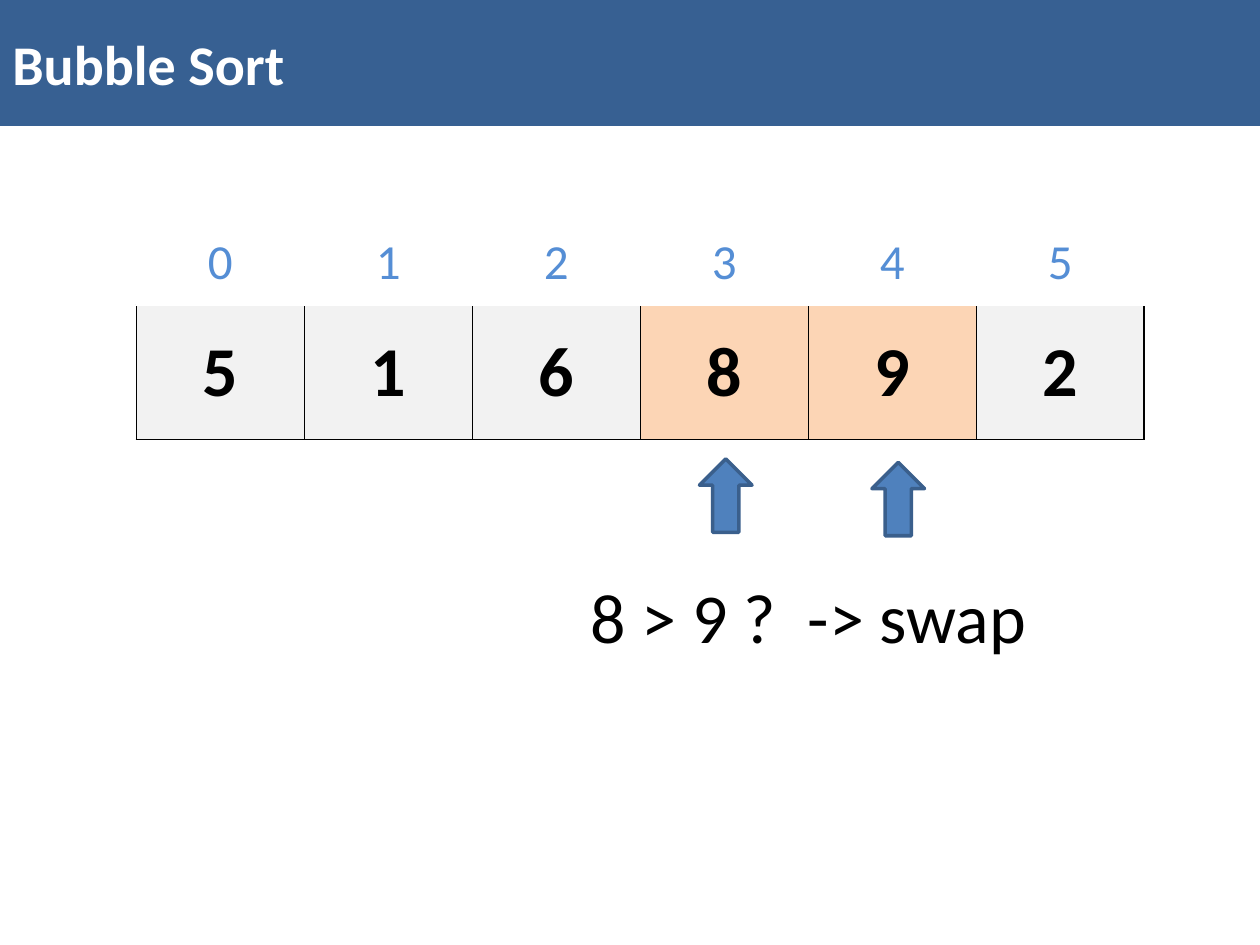
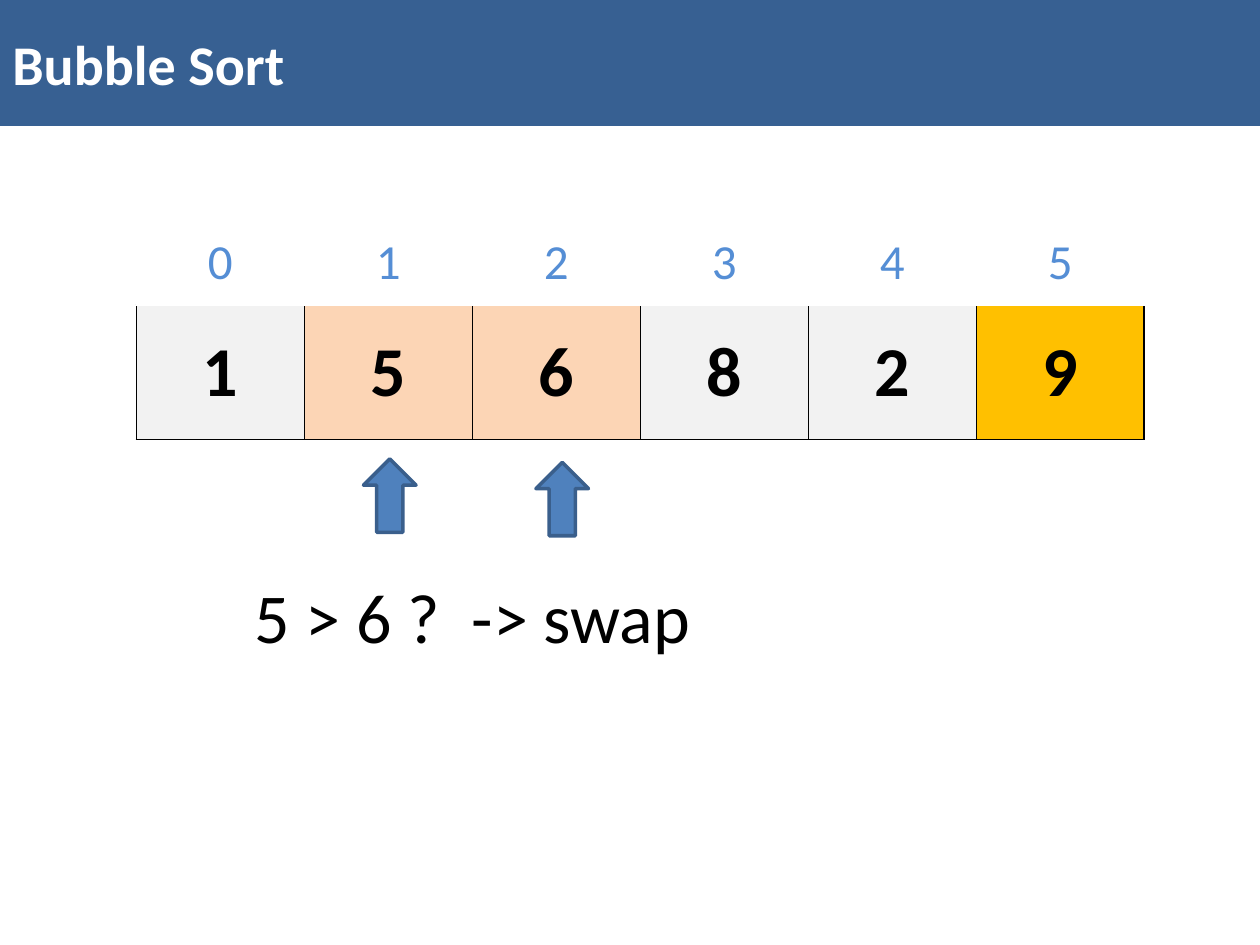
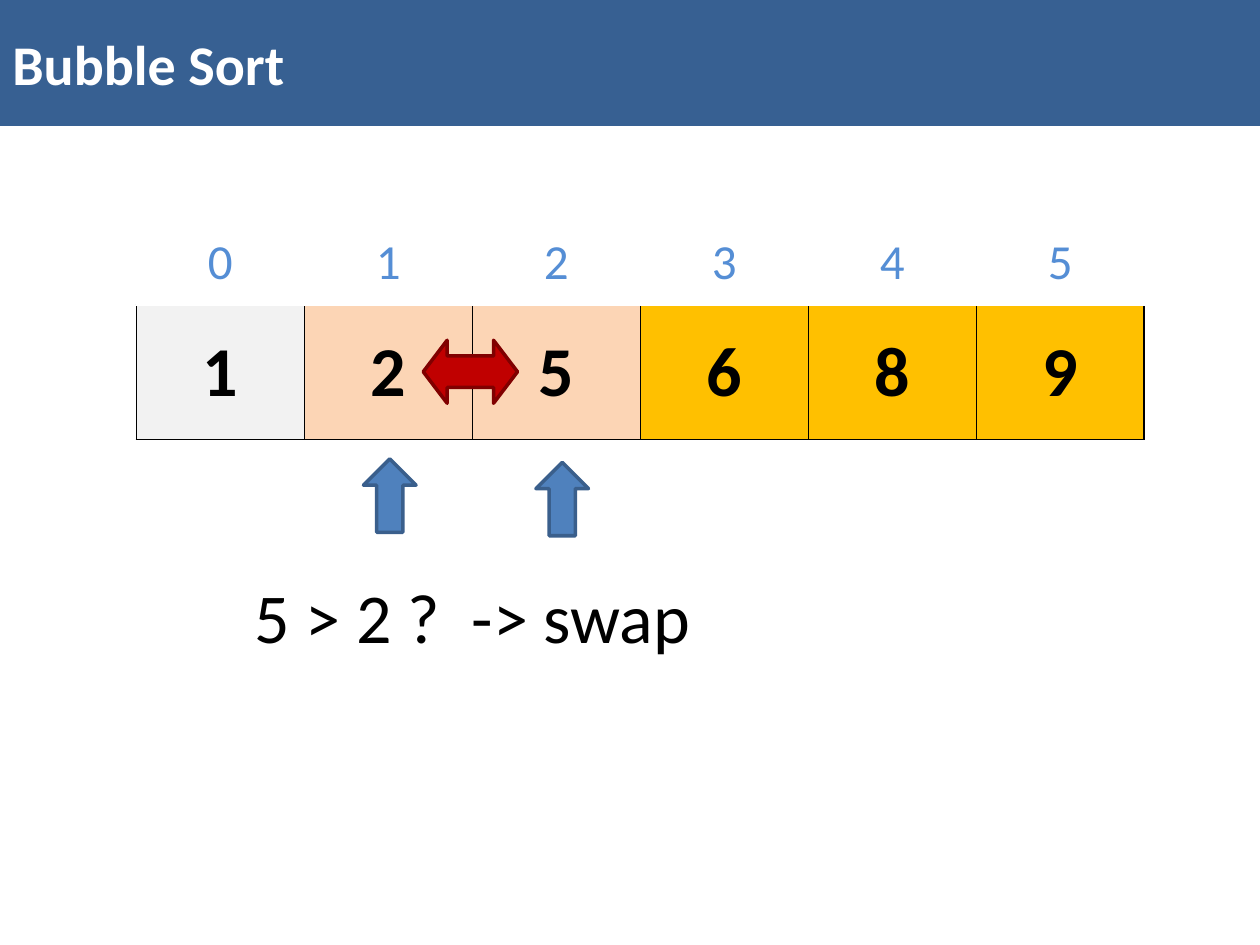
from lxml import etree
from pptx import Presentation
from pptx.dml.color import RGBColor
from pptx.enum.shapes import MSO_SHAPE
from pptx.enum.text import MSO_ANCHOR, MSO_AUTO_SIZE, PP_ALIGN
from pptx.oxml import parse_xml
from pptx.oxml.ns import nsdecls, qn
from pptx.util import Cm, Pt

FONT = "Calibri"
BLACK, WHITE = "000000", "FFFFFF"
BAND, INDEX = "376092", "558ED5"
IDLE, COMPARED, SORTED = "F2F2F2", "FCD5B5", "FFC000"
POINTER, POINTER_LINE = "4F81BD", "3A5F8C"
SWAP, SWAP_LINE = "C00000", "800000"

# Lengths in centimetres
SLIDE_WIDTH, SLIDE_HEIGHT = 25.4, 19.05
BAND_HEIGHT = 2.54
ARRAY_BOX = (2.75, 6.15, 20.32, 2.71)
INDEX_HEIGHT = 1.7

# Values, first compared position, first sorted position, question, swapped
STEPS = [
    ([5, 1, 6, 8, 9, 2], 3, 6, "8 > 9 ?  -> swap", False),
    ([1, 5, 6, 8, 2, 9], 1, 5, "5 > 6 ?  -> swap", False),
    ([1, 2, 5, 6, 8, 9], 1, 3, "5 > 2 ?  -> swap", True),
]


def color(hex_string):
    return RGBColor.from_string(hex_string)


def format_text(text_frame, text, size, text_color, bold=False, align=PP_ALIGN.CENTER):
    text_frame.text = text
    paragraph = text_frame.paragraphs[0]
    paragraph.alignment = align
    font = paragraph.runs[0].font
    font.name, font.size, font.bold = FONT, Pt(size), bold
    font.color.rgb = color(text_color)


def add_filled_shape(slide, kind, box, fill, line=None):
    shape = slide.shapes.add_shape(kind, *map(Cm, box))
    shape.shadow.inherit = False
    shape.fill.solid()
    shape.fill.fore_color.rgb = color(fill)
    if line:
        shape.line.color.rgb = color(line)
        shape.line.width = Pt(2)
    else:
        shape.line.fill.background()
    return shape


def add_title_band(slide, title):
    band = add_filled_shape(slide, MSO_SHAPE.RECTANGLE,
                            (0, 0, SLIDE_WIDTH, BAND_HEIGHT), BAND)
    band.text_frame.vertical_anchor = MSO_ANCHOR.MIDDLE
    format_text(band.text_frame, title, 32, WHITE, True, PP_ALIGN.LEFT)


def set_borders(cell, line_color):
    properties = cell._tc.get_or_add_tcPr()
    for position, side in enumerate(("lnL", "lnR", "lnT", "lnB")):
        border = parse_xml(f'<a:{side} {nsdecls("a")} w="12700"/>')
        fill = etree.SubElement(border, qn("a:solidFill"))
        etree.SubElement(fill, qn("a:srgbClr"), val=line_color)
        properties.insert(position, border)


def add_row(slide, box, values, size, text_color, bold=False, fills=None):
    """One-row table; cells without fills also have no borders."""
    table = slide.shapes.add_table(1, len(values), *map(Cm, box)).table
    table.first_row = table.horz_banding = False
    for position, value in enumerate(values):
        table.columns[position].width = Cm(box[2] / len(values))
        cell = table.cell(0, position)
        cell.vertical_anchor = MSO_ANCHOR.MIDDLE
        format_text(cell.text_frame, str(value), size, text_color, bold)
        if fills:
            cell.fill.solid()
            cell.fill.fore_color.rgb = color(fills[position])
            set_borders(cell, BLACK)
        else:
            cell.fill.background()


def add_array(slide, box, values, compared, sorted_from):
    left, top, width, _ = box
    fills = [SORTED if position >= sorted_from
             else COMPARED if position in (compared, compared + 1)
             else IDLE
             for position in range(len(values))]
    add_row(slide, box, values, 40, BLACK, True, fills)
    add_row(slide, (left, top - INDEX_HEIGHT, width, INDEX_HEIGHT),
            range(len(values)), 28, INDEX)


def add_comparison(slide, box, count, compared, question, swapped):
    left, top, width, height = box
    step = width / count
    pair_left, bottom = left + compared * step, top + height

    # Pointers under the two compared cells
    for pointer_left, gap in ((1.19, 0.39), (step + 1.28, 0.46)):
        pointer = add_filled_shape(
            slide, MSO_SHAPE.DOWN_ARROW,
            (pair_left + pointer_left, bottom + gap, 1.06, 1.48),
            POINTER, POINTER_LINE)
        pointer.rotation = 180

    # Question
    text_box = slide.shapes.add_textbox(
        *map(Cm, (pair_left - 1.69, bottom + 2.57, 10.16, 1.96)))
    text_box.text_frame.word_wrap = True
    text_box.text_frame.auto_size = MSO_AUTO_SIZE.SHAPE_TO_FIT_TEXT
    format_text(text_box.text_frame, question, 40, BLACK)

    # Swap arrow across the border between the two cells
    if swapped:
        arrow = add_filled_shape(
            slide, MSO_SHAPE.LEFT_RIGHT_ARROW,
            (pair_left + step - 0.99, top + 0.71, 1.9, 1.27), SWAP, SWAP_LINE)
        arrow.adjustments[1] = 0.38


def add_step_slide(presentation, values, compared, sorted_from, question, swapped):
    slide = presentation.slides.add_slide(presentation.slide_layouts[6])
    add_title_band(slide, "Bubble Sort")
    add_array(slide, ARRAY_BOX, values, compared, sorted_from)
    add_comparison(slide, ARRAY_BOX, len(values), compared, question, swapped)


def main():
    presentation = Presentation()
    presentation.slide_width, presentation.slide_height = Cm(SLIDE_WIDTH), Cm(SLIDE_HEIGHT)
    for step in STEPS:
        add_step_slide(presentation, *step)
    presentation.save("out.pptx")


if __name__ == "__main__":
    main()
